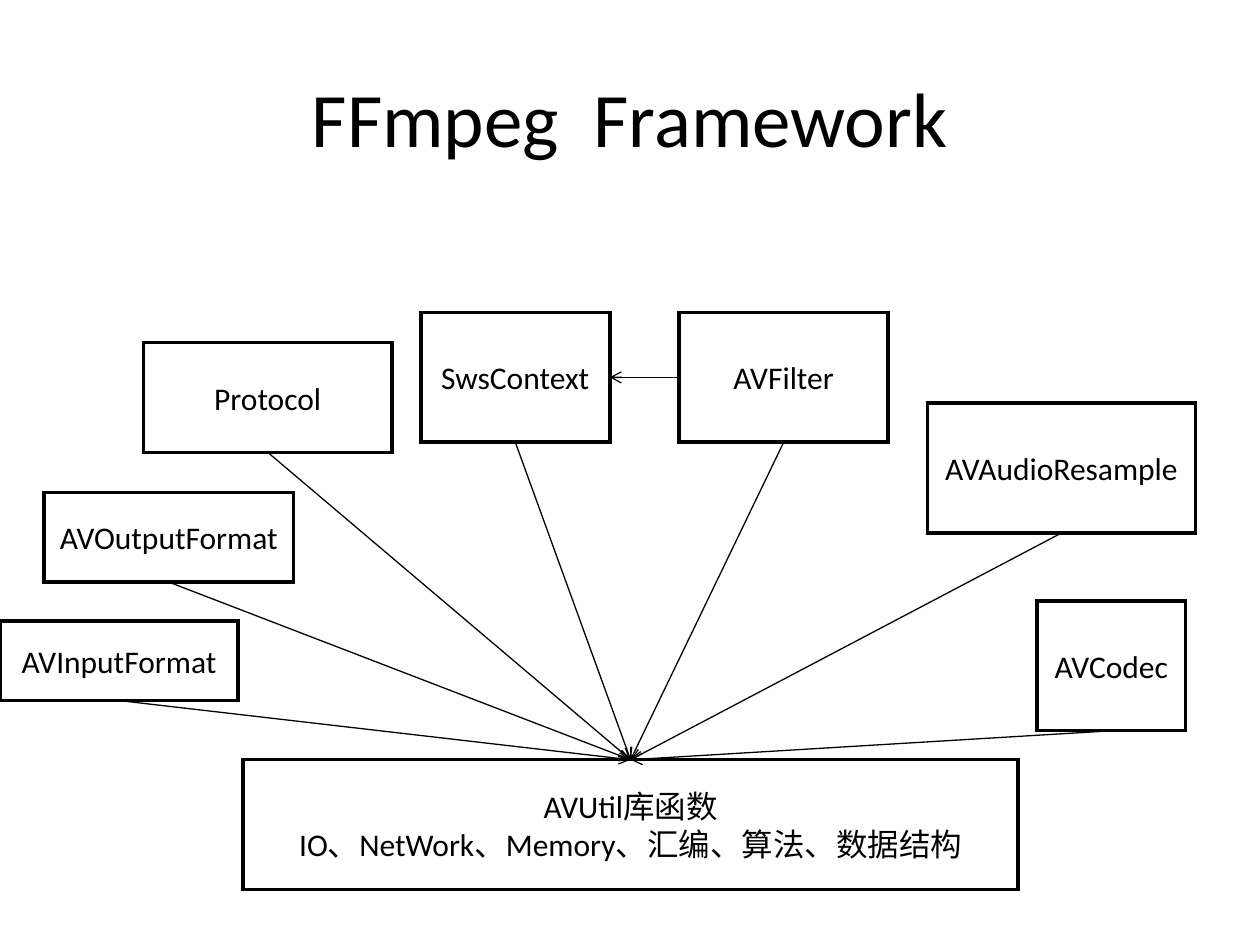
from dataclasses import dataclass

from lxml.etree import SubElement
from pptx import Presentation
from pptx.dml.color import RGBColor
from pptx.enum.shapes import MSO_CONNECTOR as Connector, MSO_SHAPE as Shape
from pptx.enum.text import MSO_ANCHOR as Anchor, PP_ALIGN as Align
from pptx.oxml.ns import qn
from pptx.util import Inches, Pt


@dataclass(frozen=True)
class Theme:
    ink: RGBColor = RGBColor(0, 0, 0)
    font: str = "Calibri"
    title_size: Pt = Pt(44)
    label_size: Pt = Pt(18)
    border: Pt = Pt(2)
    arrow: Pt = Pt(0.75)


THEME = Theme()
TOP, LEFT, BOTTOM, RIGHT = range(4)

TITLE = ("FFmpeg  Framework", (0.5, 0.3, 9, 1.25))
UTILITY = ("AVUtil库函数\nIO、NetWork、Memory、汇编、算法、数据结构", (1.93, 6.03, 6.15, 1.03))
MODULES = {
    "AVCodec": (8.23, 4.77, 1.18, 1.03),
    "AVInputFormat": (0, 4.93, 1.89, 0.63),
    "SwsContext": (3.34, 2.48, 1.5, 1.03),
    "AVOutputFormat": (0.35, 3.91, 1.98, 0.71),
    "AVAudioResample": (7.36, 3.2, 2.13, 1.03),
    "AVFilter": (5.39, 2.48, 1.66, 1.03),
    "Protocol": (1.14, 2.72, 1.97, 0.87),
}


def write_text(shape, text, size):
    """Centre the text both ways, one paragraph per line."""
    frame = shape.text_frame
    frame.word_wrap = True
    frame.vertical_anchor = Anchor.MIDDLE
    frame.text = text
    for para in frame.paragraphs:
        para.alignment = Align.CENTER
        for span in para.runs:
            for name, value in {"name": THEME.font, "size": size}.items():
                setattr(span.font, name, value)
            span.font.color.rgb = THEME.ink


def draw_line(shape, width):
    """Set the line's colour and width, and return its XML element."""
    shape.line.color.rgb = THEME.ink
    shape.line.width = width
    return shape.line._get_or_add_ln()


def add_title(page, text, place):
    box = page.shapes.add_textbox(*map(Inches, place))
    write_text(box, text, THEME.title_size)


def add_box(page, text, place):
    box = page.shapes.add_shape(Shape.RECTANGLE, *map(Inches, place))
    box.shadow.inherit = False
    box.fill.background()
    SubElement(draw_line(box, THEME.border), qn("a:miter"), lim="800000")
    write_text(box, text, THEME.label_size)
    return box


def add_arrow(page, source, source_side, target, target_side):
    arrow = page.shapes.add_connector(Connector.STRAIGHT, 0, 0, 0, 0)
    arrow.begin_connect(source, source_side)
    arrow.end_connect(target, target_side)
    SubElement(draw_line(arrow, THEME.arrow), qn("a:tailEnd"), type="arrow")
    SubElement(arrow._element.spPr, qn("a:effectLst"))


def main():
    deck = Presentation()
    deck.slide_width, deck.slide_height = Inches(10), Inches(7.5)
    page = deck.slides.add_slide(deck.slide_layouts[6])

    add_title(page, *TITLE)
    utility = add_box(page, *UTILITY)
    modules = {name: add_box(page, name, place) for name, place in MODULES.items()}
    for module in modules.values():
        add_arrow(page, module, BOTTOM, utility, TOP)
    add_arrow(page, modules["AVFilter"], LEFT, modules["SwsContext"], RIGHT)

    deck.save("out.pptx")


if __name__ == "__main__":
    main()
